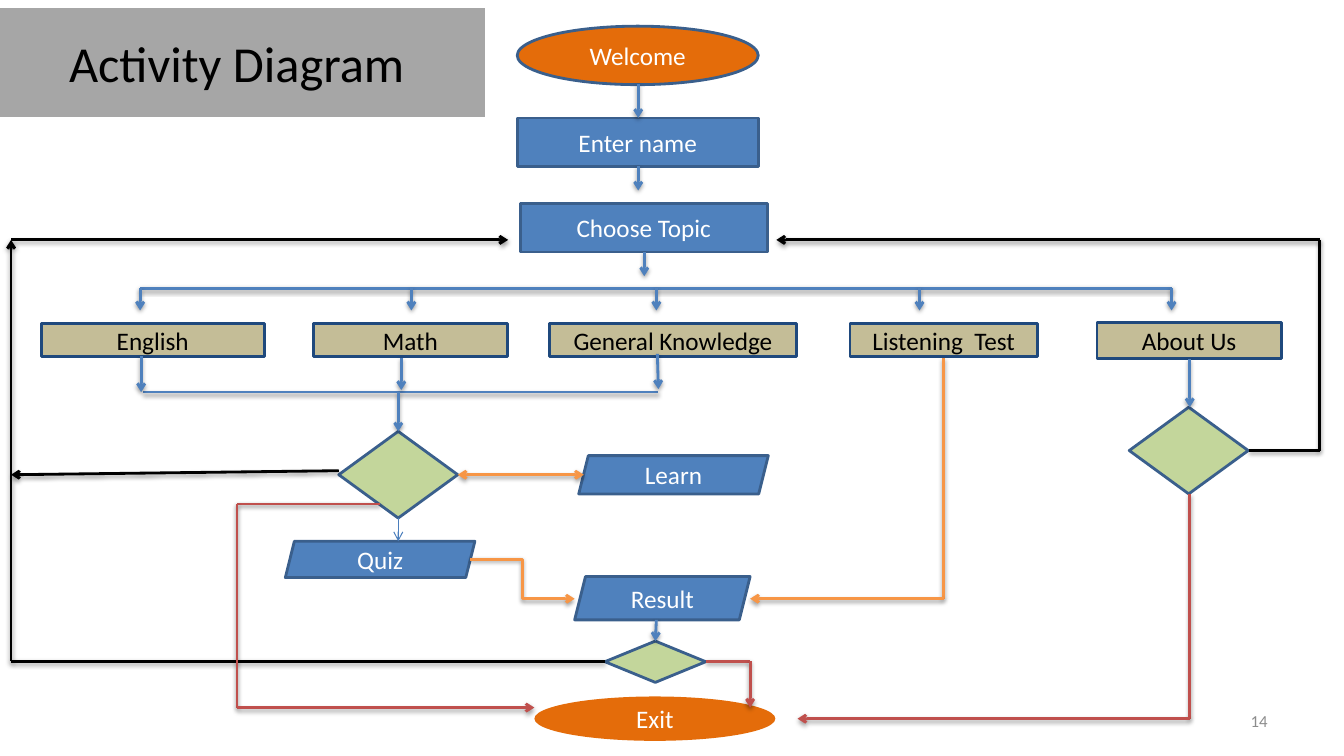
from lxml import etree
from pptx import Presentation
from pptx.dml.color import RGBColor
from pptx.enum.shapes import MSO_CONNECTOR, MSO_SHAPE
from pptx.enum.text import MSO_ANCHOR, PP_ALIGN
from pptx.oxml.ns import qn
from pptx.util import Inches, Pt

RECTANGLE = MSO_SHAPE.RECTANGLE
PARALLELOGRAM = MSO_SHAPE.PARALLELOGRAM
OVAL = MSO_SHAPE.OVAL
DIAMOND = MSO_SHAPE.DIAMOND
STRAIGHT = MSO_CONNECTOR.STRAIGHT
ELBOW = MSO_CONNECTOR.ELBOW
MIDDLE = MSO_ANCHOR.MIDDLE
CENTER = PP_ALIGN.CENTER
RIGHT = PP_ALIGN.RIGHT

FONT = "Calibri"
COLORS = {
    "black": "000000", "white": "FFFFFF", "blue": "4F81BD", "outline": "3A5F8C",
    "navy": "1F497D", "tan": "C4BD97", "orange": "E46C0A", "green": "C3D69B",
    "amber": "F79646", "red": "C0504D", "thin_blue": "4B7EBC",
    "title": "A6A6A6", "number": "8C8C8C",
}

STYLES = {
    "step": (RECTANGLE, "blue", "outline", "white", 18),
    "topic": (RECTANGLE, "tan", "navy", "black", 18),
    "activity": (PARALLELOGRAM, "blue", "outline", "white", 18),
    "start": (OVAL, "orange", "outline", "white", 18),
    "end": (OVAL, "orange", None, "white", 18),
    "decision": (DIAMOND, "green", "outline", "black", 18),
    "title": (RECTANGLE, "title", None, "black", 36),
}

NODES = [
    ("topic", "General Knowledge", 5.45, 3.21, 2.45, 0.33),
    ("step", "Choose Topic", 5.16, 2.02, 2.45, 0.48),
    ("step", "Enter name", 5.13, 1.17, 2.39, 0.48),
    ("topic", "English", 0.41, 3.21, 2.21, 0.33),
    ("topic", "Math", 3.11, 3.21, 1.92, 0.33),
    ("topic", "About Us", 10.88, 3.2, 1.83, 0.36),
    ("topic", "Listening  Test", 8.43, 3.21, 1.86, 0.33),
    ("activity", "Learn", 5.74, 4.52, 1.88, 0.38),
    ("activity", "Result", 5.7, 5.72, 1.74, 0.43),
    ("activity", "Quiz", 2.83, 5.37, 1.88, 0.36),
    ("end", "Exit", 5.3, 6.91, 2.39, 0.44),
    ("start", "Welcome", 5.13, 0.26, 2.39, 0.58),
    ("decision", "", 6, 6.36, 1, 0.41),
    ("decision", "", 11.2, 4.04, 1.18, 0.86),
    ("decision", "", 3.36, 4.28, 1.18, 0.86),
    ("title", "Activity Diagram ", 0, 0.08, 4.81, 1.08),
]
PAGE_NUMBER = ("14", 9.56, 6.95, 3.11, 0.4)

TOPIC_BAR_Y = 2.86
TOPIC_DROPS = [1.39, 4.08, 6.51, 9.12, 11.62]
LEFT_X, RIGHT_X, RETURN_Y = 0.11, 13.09, 2.38

PLAIN_LINES = [
    ("blue", [(TOPIC_DROPS[0], TOPIC_BAR_Y), (TOPIC_DROPS[-1], TOPIC_BAR_Y)]),
    ("blue", [(1.42, 3.89), (6.53, 3.89)]),
]
ARROW_ROUTES = [
    ("blue", [(x, TOPIC_BAR_Y), (x, 3.08)]) for x in TOPIC_DROPS
] + [
    ("blue", [(6.33, 0.83), (6.33, 1.17)]),
    ("blue", [(6.33, 1.65), (6.33, 1.89)]),
    ("blue", [(6.39, 2.5), (6.39, 2.74)]),
    ("blue", [(1.4, 3.53), (1.4, 3.89)]),
    ("blue", [(3.98, 3.55), (3.98, 3.87)]),
    ("blue", [(6.52, 3.51), (6.53, 3.86)]),
    ("blue", [(3.95, 3.89), (3.95, 4.28)]),
    ("blue", [(6.51, 6.15), (6.5, 6.36)]),
    ("blue", [(11.8, 3.56), (11.8, 4.04)]),
    ("amber", [(9.36, 3.55), (9.36, 5.94), (7.44, 5.94)]),
    ("black", [(6, 6.56), (LEFT_X, 6.56), (LEFT_X, RETURN_Y)]),
    ("black", [(LEFT_X, RETURN_Y), (5.04, RETURN_Y)]),
    ("black", [(12.39, 4.47), (RIGHT_X, 4.47), (RIGHT_X, RETURN_Y), (7.7, RETURN_Y)]),
    ("black", [(3.36, 4.67), (LEFT_X, 4.71)]),
    ("red", [(11.8, 4.9), (11.8, 7.13), (7.91, 7.13)]),
    ("red", [(3.77, 5), (2.35, 5), (2.35, 7.02), (5.3, 7.02)]),
    ("red", [(7, 6.56), (7.44, 6.56), (7.44, 7.02)]),
]


def color(name):
    return RGBColor.from_string(COLORS[name])


def write_text(shape, text, size, color_name, alignment):
    frame = shape.text_frame
    frame.word_wrap = True
    frame.vertical_anchor = MIDDLE
    paragraph = frame.paragraphs[0]
    paragraph.alignment = alignment
    run = paragraph.add_run()
    run.text = text
    run.font.name = FONT
    run.font.size = Pt(size)
    run.font.color.rgb = color(color_name)


def add_node(slide, style, text, *box):
    kind, fill, outline, text_color, size = STYLES[style]
    shape = slide.shapes.add_shape(kind, *map(Inches, box))
    shape.shadow.inherit = False
    shape.fill.solid()
    shape.fill.fore_color.rgb = color(fill)
    if outline:
        shape.line.color.rgb = color(outline)
        shape.line.width = Pt(2)
    else:
        shape.line.fill.background()
    if text:
        write_text(shape, text, size, text_color, CENTER)


def add_line(slide, color_name, start, end, arrows=(), kind=STRAIGHT, width=2, shadow=True):
    connector = slide.shapes.add_connector(kind, *map(Inches, start + end))
    connector.line.color.rgb = color(color_name)
    connector.line.width = Pt(width)
    properties = connector._element.spPr
    line = properties.find(qn("a:ln"))
    for arrow in arrows:
        etree.SubElement(line, qn(arrow), type="arrow")
    effects = etree.SubElement(properties, qn("a:effectLst"))
    if shadow:
        outer = etree.SubElement(
            effects, qn("a:outerShdw"), blurRad=str(Pt(3.1)), dist=str(Pt(1.6)),
            dir="5400000", rotWithShape="0")
        shade = etree.SubElement(outer, qn("a:srgbClr"), val=COLORS["black"])
        etree.SubElement(shade, qn("a:alpha"), val="38000")


def main():
    presentation = Presentation()
    presentation.slide_width = Inches(13.33)
    presentation.slide_height = Inches(7.5)
    slide = presentation.slides.add_slide(presentation.slide_layouts[6])

    for node in NODES:
        add_node(slide, *node)
    for color_name, (start, end) in PLAIN_LINES:
        add_line(slide, color_name, start, end)
    for color_name, points in ARROW_ROUTES:
        for start, end in zip(points, points[1:]):
            arrows = ["a:tailEnd"] if end == points[-1] else []
            add_line(slide, color_name, start, end, arrows)
    add_line(slide, "thin_blue", (3.95, 5.14), (3.95, 5.37), ["a:tailEnd"],
             width=0.75, shadow=False)
    add_line(slide, "amber", (4.66, 5.55), (5.7, 5.94), ["a:tailEnd"], ELBOW)
    add_line(slide, "amber", (4.54, 4.71), (5.79, 4.71), ["a:headEnd", "a:tailEnd"])

    number, *box = PAGE_NUMBER
    number_box = slide.shapes.add_textbox(*map(Inches, box))
    write_text(number_box, number, 12, "number", RIGHT)
    presentation.save("out.pptx")


if __name__ == "__main__":
    main()
